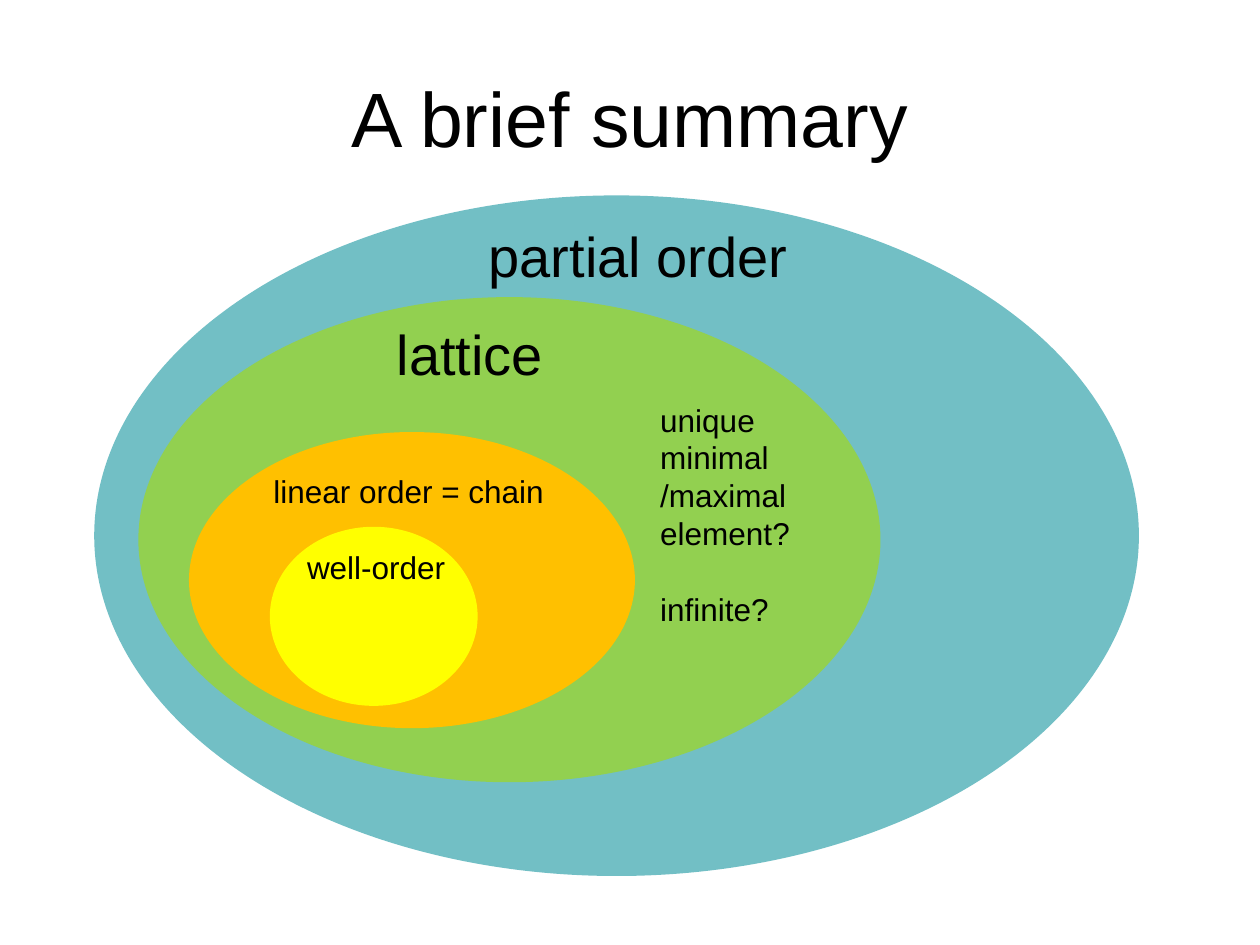
"""Build a slide of nested ellipses that sums up the kinds of order."""

from pptx import Presentation
from pptx.dml.color import RGBColor
from pptx.enum.shapes import MSO_SHAPE
from pptx.enum.text import MSO_ANCHOR, PP_ALIGN
from pptx.util import Cm, Pt

BLACK = RGBColor(0x00, 0x00, 0x00)
TEAL = RGBColor(0x72, 0xBF, 0xC5)
GREEN = RGBColor(0x92, 0xD0, 0x50)
ORANGE = RGBColor(0xFF, 0xC0, 0x00)
YELLOW = RGBColor(0xFF, 0xFF, 0x00)
LINE_HEIGHT = 1.2

ELLIPSES = [
    (TEAL, 1.9, 3.94, 21.06, 13.72),
    (GREEN, 2.79, 5.99, 14.96, 9.78),
    (ORANGE, 3.81, 8.71, 8.99, 5.97),
    (YELLOW, 5.44, 10.62, 4.19, 3.61),
]
LABELS = [
    (["partial order"], 32, 9.6, 4.34, 6.86, 1.63),
    (["lattice"], 32, 7.75, 6.32, 5.05, 1.63),
    (["linear order = chain"], 18, 5.26, 9.4, 6.1, 1.02),
    (["well-order"], 18, 5.94, 10.92, 4.06, 1.02),
    (["unique", "minimal", "/maximal", "element?", "infinite?"], 18, 13.06, 7.95, 3.71, 4.83),
]


def format_font(paragraph, size):
    values = {"name": "Arial", "size": Pt(size)}
    for name, value in values.items():
        setattr(paragraph.font, name, value)
    paragraph.font.color.rgb = BLACK


presentation = Presentation()
presentation.slide_width, presentation.slide_height = Cm(25.4), Cm(19.05)
slide = presentation.slides.add_slide(presentation.slide_layouts[5])

title = slide.shapes.title
title_place = {"left": Cm(1.27), "top": Cm(0.76), "width": Cm(22.86), "height": Cm(3.18)}
for name, value in title_place.items():
    setattr(title, name, value)
title.text_frame.text = "A brief summary"
title.text_frame.vertical_anchor = MSO_ANCHOR.MIDDLE
title_paragraph = title.text_frame.paragraphs[0]
title_paragraph.alignment = PP_ALIGN.CENTER
format_font(title_paragraph, 44)

for color, *place in ELLIPSES:
    ellipse = slide.shapes.add_shape(MSO_SHAPE.OVAL, *map(Cm, place))
    ellipse.shadow.inherit = False
    ellipse.fill.solid()
    ellipse.fill.fore_color.rgb = color
    ellipse.line.fill.background()

for lines, size, *place in LABELS:
    text_frame = slide.shapes.add_textbox(*map(Cm, place)).text_frame
    text_frame.word_wrap = True
    text_frame.text = "\n".join(lines)
    for paragraph in text_frame.paragraphs:
        paragraph.line_spacing = Pt(size * LINE_HEIGHT)
        format_font(paragraph, size)
        if paragraph.text == "infinite?":
            paragraph.space_before = Pt(size * LINE_HEIGHT)

presentation.save("out.pptx")
